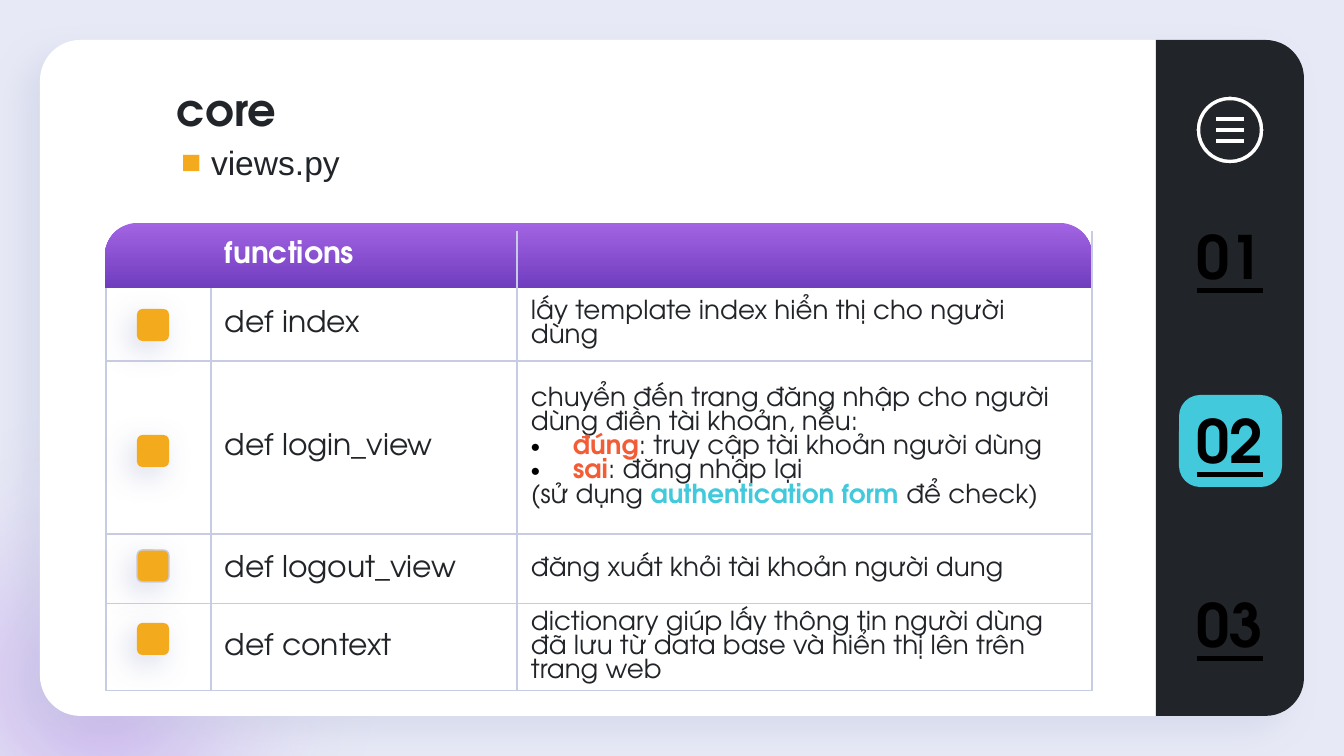
from lxml import etree
from pptx import Presentation, util as u
from pptx.dml.color import RGBColor
from pptx.enum import shapes, text
from pptx.oxml import ns, parse_xml

EMU_PER_PX = 914400 / 134.4
PX = lambda n: u.Emu(round(n * EMU_PER_PX))
NS = ns.nsdecls("a")
SHAPE = shapes.MSO_SHAPE


class Theme:
    page, card, ink, black = "E7E9F6", "FFFFFF", "212428", "000000"
    violet, indigo, edge = "A264E3", "703DBF", "C7CCE2"
    amber, cyan, coral = "F4AA1D", "43C9DC", "F35D35"
    face, plain_face = "TeX Gyre Adventor", "Arial"
    number, title, subtitle, label, body = 32, 24, 18, 16, 14
    hairline = 0.75


def block(kind, box, fill=None, adjust=(), shadow=None):
    """Add a preset shape; shadow is (alpha %, blur pt, distance pt, degrees)."""
    shape = slide.shapes.add_shape(kind, *map(PX, box))
    for i, value in enumerate(adjust):
        shape.adjustments[i] = value
    shape.line.fill.background()
    if fill:
        shape.fill.solid()
        shape.fill.fore_color.rgb = RGBColor.from_string(fill)
    shape.shadow.inherit = False
    if shadow:
        alpha, blur, distance, angle = shadow
        shape._element.spPr.find(ns.qn("a:effectLst")).append(parse_xml(
            f'<a:outerShdw {NS} blurRad="{u.Pt(blur)}" dist="{u.Pt(distance)}" '
            f'dir="{angle * 60000}" algn="bl" rotWithShape="0"><a:srgbClr val="{Theme.edge}">'
            f'<a:alpha val="{alpha * 1000}"/></a:srgbClr></a:outerShdw>'))
    return shape


def write(frame, *runs, size, color=Theme.ink, face=Theme.face, bold=False, underline=False,
          align=None, spacing=None, bullet=None, margins=None, anchor=None):
    """Write one paragraph; a run is a string or (string, accent colour).

    bullet is (character, colour, left px, hanging px).
    """
    frame.word_wrap = True
    if margins:
        (frame.margin_left, frame.margin_top,
         frame.margin_right, frame.margin_bottom) = map(PX, margins)
    if anchor is not None:
        frame.vertical_anchor = anchor
    paragraph = frame.paragraphs[0]
    if paragraph.runs:
        paragraph = frame.add_paragraph()
    if bullet:
        mark, mark_color, left, hanging = bullet
        props = paragraph._p.get_or_add_pPr()
        props.set("marL", str(PX(left)))
        props.set("indent", str(PX(-hanging)))
        props.append(parse_xml(f'<a:buClr {NS}><a:srgbClr val="{mark_color}"/></a:buClr>'))
        props.append(parse_xml(f'<a:buFont {NS} typeface="Arial"/>'))
        props.append(parse_xml(f'<a:buChar {NS} char="{mark}"/>'))
    paragraph.alignment = align
    if spacing:
        paragraph.line_spacing = u.Pt(spacing)
    for part in runs:
        words, accent = (part, None) if isinstance(part, str) else part
        run = paragraph.add_run()
        run.text = words
        run.font.name, run.font.size = face, u.Pt(size)
        run.font.bold = bold or accent is not None
        run.font.underline = underline
        run.font.color.rgb = RGBColor.from_string(accent or color)


deck = Presentation()
deck.slide_width, deck.slide_height = PX(1344), PX(756)
slide = deck.slides.add_slide(deck.slide_layouts[6])
slide.background.fill.solid()
slide.background.fill.fore_color.rgb = RGBColor.from_string(Theme.page)

# Backdrop: violet glow, white card and dark sidebar
glow = block(SHAPE.OVAL, (-208, 367, 626, 626))
glow.fill.background()
stops = "".join(
    f'<a:gs pos="{pos * 1000}"><a:srgbClr val="{color}"><a:alpha val="{alpha * 1000}"/></a:srgbClr></a:gs>'
    for pos, color, alpha in [(0, Theme.violet, 49), (62, Theme.page, 0), (100, Theme.card, 0)])
glow_props = glow._element.spPr
glow_props.replace(glow_props.find(ns.qn("a:noFill")), parse_xml(
    f'<a:gradFill {NS}><a:gsLst>{stops}</a:gsLst><a:path path="circle">'
    '<a:fillToRect l="50000" t="50000" r="50000" b="50000"/></a:path></a:gradFill>'))
block(SHAPE.ROUNDED_RECTANGLE, (40, 40, 1264, 676), Theme.card, [0.06], (47, 16.9, 12, 137))
sidebar = block(SHAPE.ROUND_2_SAME_RECTANGLE, (892, 304, 676, 148), Theme.ink, [0.26, 0])
sidebar.rotation = 90

# Table of view functions
header = block(SHAPE.ROUND_2_SAME_RECTANGLE, (105, 223, 987, 65), adjust=[0.5, 0])
header.fill.gradient()
header.fill.gradient_angle = 270
for stop, color in zip(header.fill.gradient_stops, (Theme.violet, Theme.indigo)):
    stop.color.rgb = RGBColor.from_string(color)

point = ("•", Theme.black, 42, 42)
functions = [
    ("def index", [(["lấy template index hiển thị cho người dùng"], None)]),
    ("def login_view", [
        (["chuyển đến trang đăng nhập cho người dùng điền tài khoản, nếu:"], None),
        ([("đúng", Theme.coral), ": truy cập tài khoản người dùng"], point),
        ([("sai", Theme.coral), ": đăng nhập lại"], point),
        (["(sử dụng ", ("authentication form ", Theme.cyan), "để check)"], None)]),
    ("def logout_view", [(["đăng xuất khỏi tài khoản người dung"], None)]),
    ("def context", [(["dictionary giúp lấy thông tin người dùng đã lưu từ data base "
                       "và hiển thị lên trên trang web"], None)]),
]
columns, rows = (105, 306, 575), (57, 73, 173, 70, 86)
table_frame = slide.shapes.add_table(
    len(rows), len(columns), *map(PX, (106, 231, sum(columns), sum(rows))))
table = table_frame.table
table.first_row = table.horz_banding = False
table._tbl.tblPr.find(ns.qn("a:tableStyleId")).text = "{2D5ABB26-0587-4C30-8999-92F81FD0307C}"
for column, width in zip(table.columns, columns):
    column.width = PX(width)
for row, height in zip(table.rows, rows):
    row.height = PX(height)
header_borders = ("", "R", "LR")
for r in range(len(rows)):
    for c in range(len(columns)):
        cell = table.cell(r, c)
        cell.vertical_anchor = text.MSO_ANCHOR.MIDDLE
        cell.margin_left = PX(14)
        cell.margin_top, cell.margin_bottom = PX(7 if r else 0), PX(7)
        for side in "LRB" if r else header_borders[c]:
            border = etree.SubElement(cell._tc.get_or_add_tcPr(), ns.qn(f"a:ln{side}"),
                                      w=str(u.Pt(Theme.hairline)))
            border.append(parse_xml(
                f'<a:solidFill {NS}><a:srgbClr val="{Theme.edge}"/></a:solidFill>'))
        cell.fill.background()
write(table.cell(0, 1).text_frame, "functions",
      size=Theme.label, color=Theme.card, bold=True, spacing=14)
for r, (signature, description) in enumerate(functions, 1):
    write(table.cell(r, 1).text_frame, signature, size=Theme.label, spacing=15)
    for runs, bullet in description:
        write(table.cell(r, 2).text_frame, *runs, size=Theme.body, spacing=13, bullet=bullet)

for top, outlined in [(309, False), (435, False), (550, True), (623, False)]:
    marker = block(SHAPE.ROUNDED_RECTANGLE, (137, top, 32, 32), Theme.amber, [0.17],
                   (63, 15.8, 6, 128))
    if outlined:
        marker.line.color.rgb = RGBColor.from_string(Theme.edge)
        marker.line.width = u.Pt(Theme.hairline)

# Sidebar: menu icon and section numbers
block(SHAPE.ROUNDED_RECTANGLE, (1179, 395, 103, 92), Theme.cyan, [0.23])
center_x, center_y = 1230, 130
rings = [[(center_x, center_y - radius), (center_x + radius, center_y),
          (center_x, center_y + radius), (center_x - radius, center_y),
          (center_x, center_y - radius)] for radius in (34, 29)]
bars = [[(1215, y), (1245, y), (1245, y + 6), (1215, y + 6)] for y in (116, 127, 138)]
builder = slide.shapes.build_freeform(*rings[0][0], scale=EMU_PER_PX)
for i, contour in enumerate(rings + bars):
    if i:
        builder.move_to(*contour[0])
    builder.add_line_segments(contour[1:], close=True)
menu = builder.convert_to_shape()

# Bend the sides of both rings into quarter circles
KAPPA = 0.55
outline = menu._element.spPr.find(".//" + ns.qn("a:path"))
sides = outline.findall(ns.qn("a:lnTo"))[:8]
for i, side in enumerate(sides):
    before = outline[outline.index(side) - 1]
    (x0, y0), (x1, y1) = [(int(pt.get("x")), int(pt.get("y"))) for pt in (before[-1], side[0])]
    corner_x, corner_y = (x0, y1) if i % 2 else (x1, y0)
    curve = etree.Element(ns.qn("a:cubicBezTo"))
    for x, y in [(x0 + KAPPA * (corner_x - x0), y0 + KAPPA * (corner_y - y0)),
                 (x1 + KAPPA * (corner_x - x1), y1 + KAPPA * (corner_y - y1)), (x1, y1)]:
        etree.SubElement(curve, ns.qn("a:pt"), x=str(round(x)), y=str(round(y)))
    outline.replace(side, curve)
menu.shadow.inherit = False
menu.fill.solid()
menu.fill.fore_color.rgb = RGBColor.from_string(Theme.card)
menu.line.color.rgb = RGBColor.from_string(Theme.ink)
menu.line.width = u.Pt(Theme.hairline)

for i in range(3):
    number = slide.shapes.add_textbox(*map(PX, (1176, 219 + 184 * i, 108, 73)))
    write(number.text_frame, f"{i + 1:02}", size=Theme.number, color=Theme.black, bold=True,
          underline=True, align=text.PP_ALIGN.CENTER, margins=(13, 0, 13, 0),
          anchor=text.MSO_ANCHOR.MIDDLE)

# Heading
title = slide.shapes.add_textbox(*map(PX, (177, 81, 435, 47)))
write(title.text_frame, "core", size=Theme.title, bold=True, spacing=29, margins=(0, 0, 13, 0))
subtitle = slide.shapes.add_textbox(*map(PX, (177, 142, 435, 63)))
write(subtitle.text_frame, "views.py", size=Theme.subtitle, face=Theme.plain_face,
      bullet=("■", Theme.amber, 34, 30), margins=(0, 0, 13, 0))

deck.save("out.pptx")
